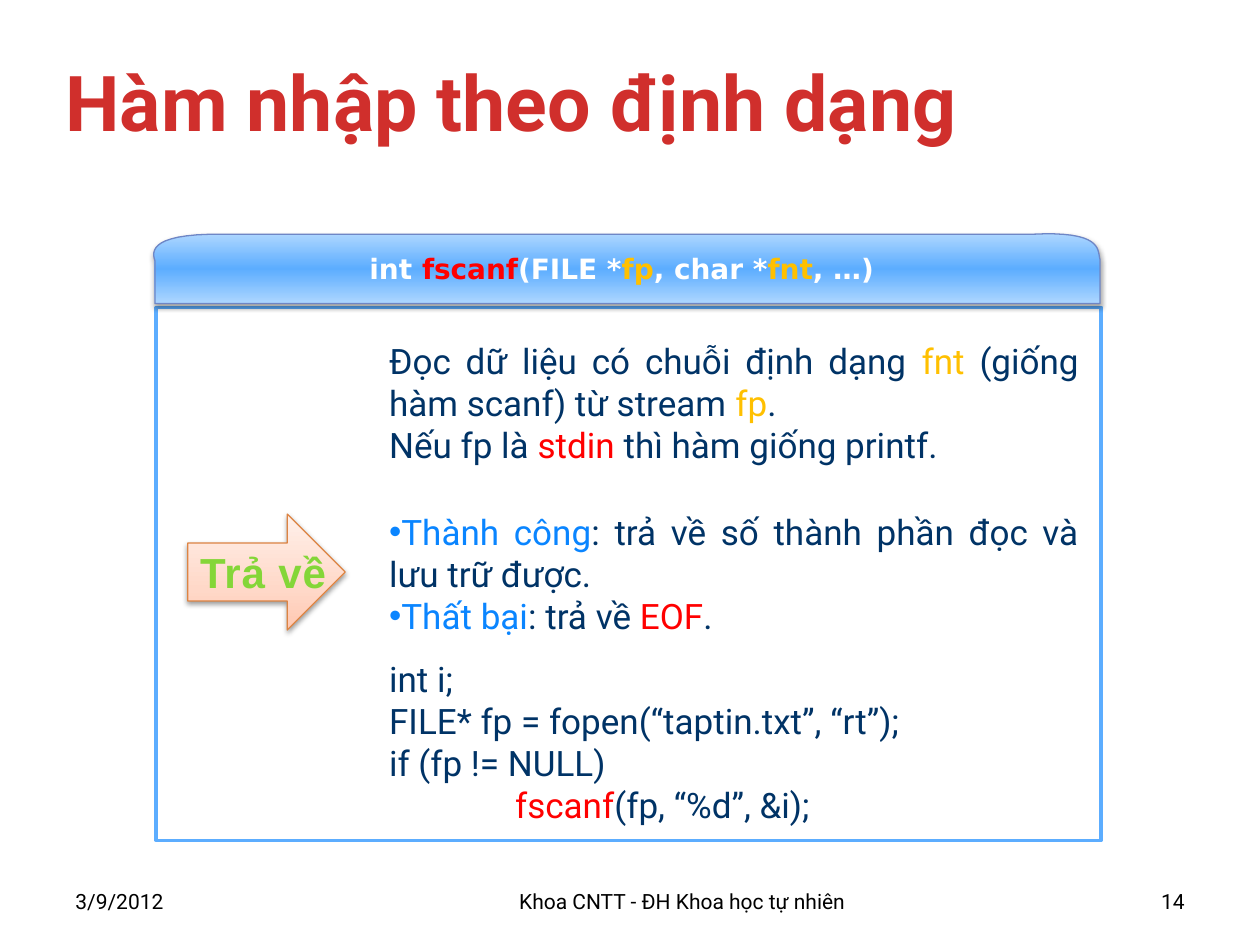
import pptx
import pptx.util
import pptx.dml.color
import pptx.enum.shapes
import pptx.enum.text
import pptx.oxml
import pptx.oxml.ns

Inches = pptx.util.Inches
Pt = pptx.util.Pt
RGBColor = pptx.dml.color.RGBColor
Shape = pptx.enum.shapes.MSO_SHAPE
Align = pptx.enum.text.PP_ALIGN
Anchor = pptx.enum.text.MSO_ANCHOR
qn = pptx.oxml.ns.qn

BLACK = RGBColor(0x00, 0x00, 0x00)
WHITE = RGBColor(0xFF, 0xFF, 0xFF)
TITLE_RED = RGBColor(0xD0, 0x2F, 0x2C)
NAVY = RGBColor(0x00, 0x33, 0x66)
AMBER = RGBColor(0xFF, 0xC0, 0x00)
RED = RGBColor(0xFF, 0x00, 0x00)
BLUE = RGBColor(0x0A, 0x85, 0xFF)
GREEN = RGBColor(0x84, 0xD6, 0x38)
FRAME_BLUE = RGBColor(0x5C, 0xAD, 0xFF)
HEADER_LINE = RGBColor(0x6E, 0x86, 0xC6)
ORANGE = RGBColor(0xDD, 0x84, 0x43)
HEADER_STOPS = [(0, "ADD6FF"), (50, "5CADFF"), (100, "ADD6FF")]
ARROW_STOPS = [(0, "FFC8B1"), (35, "FFD8C8"), (100, "FFF0EA")]

DESCRIPTION = [
    [("Đọc dữ liệu có chuỗi định dạng ", NAVY), ("fnt", AMBER),
     (" (giống hàm scanf) từ stream ", NAVY), ("fp", AMBER), (".", NAVY)],
    [("Nếu fp là ", NAVY), ("stdin ", RED), ("thì hàm giống printf.", NAVY)],
]
RESULTS = [
    [("Thành công", BLUE), (": trả về số thành phần đọc và lưu trữ được.", NAVY)],
    [("Thất bại", BLUE), (": trả về ", NAVY), ("EOF", RED), (".", NAVY)],
]
EXAMPLE = [
    [("int i;", NAVY)],
    [("FILE* fp = fopen(“taptin.txt”, “rt”);", NAVY)],
    [("if (fp != NULL)", NAVY)],
    [("\t", NAVY), ("fscanf", RED), ("(fp, “%d”, &i);", NAVY)],
]
SIGNATURE = [
    [("int ", WHITE), ("fscanf", RED), ("(FILE *", WHITE), ("fp", AMBER),
     (", char *", WHITE), ("fnt", AMBER), (", …)", WHITE)],
]


def drawing_xml(markup):
    namespace = pptx.oxml.ns.nsdecls("a")
    return pptx.oxml.parse_xml(markup.replace(">", f" {namespace}>", 1))


def write_text(shape, paragraphs, size, font="Roboto", bold=False,
               align=Align.LEFT, wrap=True, bullet=None):
    frame = shape.text_frame
    frame.word_wrap = wrap
    frame.vertical_anchor = Anchor.MIDDLE
    for index, runs in enumerate(paragraphs):
        paragraph = frame.add_paragraph() if index else frame.paragraphs[0]
        paragraph.alignment = align
        properties = paragraph._p.get_or_add_pPr()
        if bullet:
            properties.append(drawing_xml('<a:buFont typeface="Arial"></a:buFont>'))
            properties.append(drawing_xml(f'<a:buChar char="{bullet}"></a:buChar>'))
        if runs[0][0] == "\t":
            stop = f'<a:tabLst><a:tab pos="{Inches(1)}" algn="l"/></a:tabLst>'
            properties.append(drawing_xml(stop))
        for text, color in runs:
            run = paragraph.add_run()
            run.text = text
            run.font.name = font
            run.font.size = Pt(size)
            run.font.bold = bold
            run.font.color.rgb = color


def add_label(slide, left, top, width, height, text, size, color, **style):
    box = slide.shapes.add_textbox(Inches(left), Inches(top), Inches(width), Inches(height))
    write_text(box, [[(text, color)]], size, **style)


def add_box(slide, kind, left, top, width, height, line_color, line_width):
    shape = slide.shapes.add_shape(kind, Inches(left), Inches(top), Inches(width), Inches(height))
    set_outline(shape, line_color, line_width)
    return shape


def set_outline(shape, color, width):
    shape.shadow.inherit = False
    shape.line.color.rgb = color
    shape.line.width = Pt(width)


def set_gradient(shape, stops, angle):
    shape.fill.solid()
    solid = shape._element.spPr.find(qn("a:solidFill"))
    marks = "".join(
        f'<a:gs pos="{position * 1000}"><a:srgbClr val="{color}"/></a:gs>'
        for position, color in stops
    )
    gradient = drawing_xml(
        f'<a:gradFill rotWithShape="1"><a:gsLst>{marks}</a:gsLst>'
        f'<a:lin ang="{angle * 60000}" scaled="0"/></a:gradFill>'
    )
    solid.getparent().replace(solid, gradient)


def set_shadow(shape, opacity, distance):
    effects = shape._element.spPr.find(qn("a:effectLst"))
    effects.append(drawing_xml(
        f'<a:outerShdw blurRad="{Pt(3.1)}" dist="{Pt(distance)}" dir="5400000" rotWithShape="0">'
        f'<a:srgbClr val="000000"><a:alpha val="{opacity * 1000}"/></a:srgbClr></a:outerShdw>'
    ))


def curve_points(start, control_1, control_2, end, steps=16):
    points = []
    for step in range(1, steps + 1):
        t = step / steps
        weights = ((1 - t) ** 3, 3 * t * (1 - t) ** 2, 3 * t * t * (1 - t), t ** 3)
        corners = (start, control_1, control_2, end)
        points.append(tuple(
            sum(weight * corner[axis] for weight, corner in zip(weights, corners))
            for axis in (0, 1)
        ))
    return points


def add_header(slide):
    left_start, right_start = (1.23, 2.07), (8.73, 2.06)
    outline = [left_start, (1.23, 2.41), (8.73, 2.41), right_start]
    outline += curve_points(right_start, (8.71, 1.98), (8.75, 1.83), (8.18, 1.86))
    outline.append((1.77, 1.86))
    outline += curve_points((1.77, 1.86), (1.13, 1.85), (1.22, 2.03), left_start)
    points = [(Inches(x), Inches(y)) for x, y in outline]
    builder = slide.shapes.build_freeform(*points[0])
    builder.add_line_segments(points[1:], close=True)
    header = builder.convert_to_shape()
    set_outline(header, HEADER_LINE, 0.75)
    set_gradient(header, HEADER_STOPS, 90)
    set_shadow(header, 35, 1.8)
    write_text(header, SIGNATURE, 16, "DejaVu Sans", True, Align.CENTER, wrap=False)
    header.text_frame.margin_right = Inches(0.18)


def add_panel(slide, top, paragraphs, bullet=None):
    panel = add_box(slide, Shape.RECTANGLE, 2.99, top, 5.67, 1.27, WHITE, 2)
    panel.fill.solid()
    panel.fill.fore_color.rgb = WHITE
    write_text(panel, paragraphs, 20, align=Align.JUSTIFY, bullet=bullet)


def add_return_arrow(slide):
    arrow = add_box(slide, Shape.RIGHT_ARROW, 1.49, 4.08, 1.25, 0.92, ORANGE, 0.75)
    set_gradient(arrow, ARROW_STOPS, 270)
    set_shadow(arrow, 38, 1.6)
    write_text(arrow, [[("Trả về", GREEN)]], 24, "Arial", True, wrap=False)
    run = arrow.text_frame.paragraphs[0].runs[0]
    run._r.get_or_add_rPr().set("spc", "50")


def main():
    presentation = pptx.Presentation()
    presentation.slide_width = Inches(10)
    presentation.slide_height = Inches(7.5)
    slide = presentation.slides.add_slide(presentation.slide_layouts[6])

    add_label(slide, 0.42, 0.17, 9.42, 1.25, "Hàm nhập theo định dạng", 44, TITLE_RED, bold=True)
    footers = [
        (0.5, 1.08, "3/9/2012", Align.LEFT),
        (2.08, 6.67, "Khoa CNTT - ĐH Khoa học tự nhiên", Align.CENTER),
        (8.92, 0.58, "14", Align.RIGHT),
    ]
    for left, width, text, align in footers:
        add_label(slide, left, 6.95, width, 0.4, text, 12, BLACK, align=align)

    frame = add_box(slide, Shape.ROUNDED_RECTANGLE, 1.24, 2.44, 7.5, 4.23, FRAME_BLUE, 2)
    frame.adjustments[0] = 0
    frame.fill.background()

    add_panel(slide, 2.56, DESCRIPTION)
    add_panel(slide, 3.92, RESULTS, bullet="•")
    add_panel(slide, 5.25, EXAMPLE)
    add_return_arrow(slide)
    add_header(slide)
    presentation.save("out.pptx")


if __name__ == "__main__":
    main()
